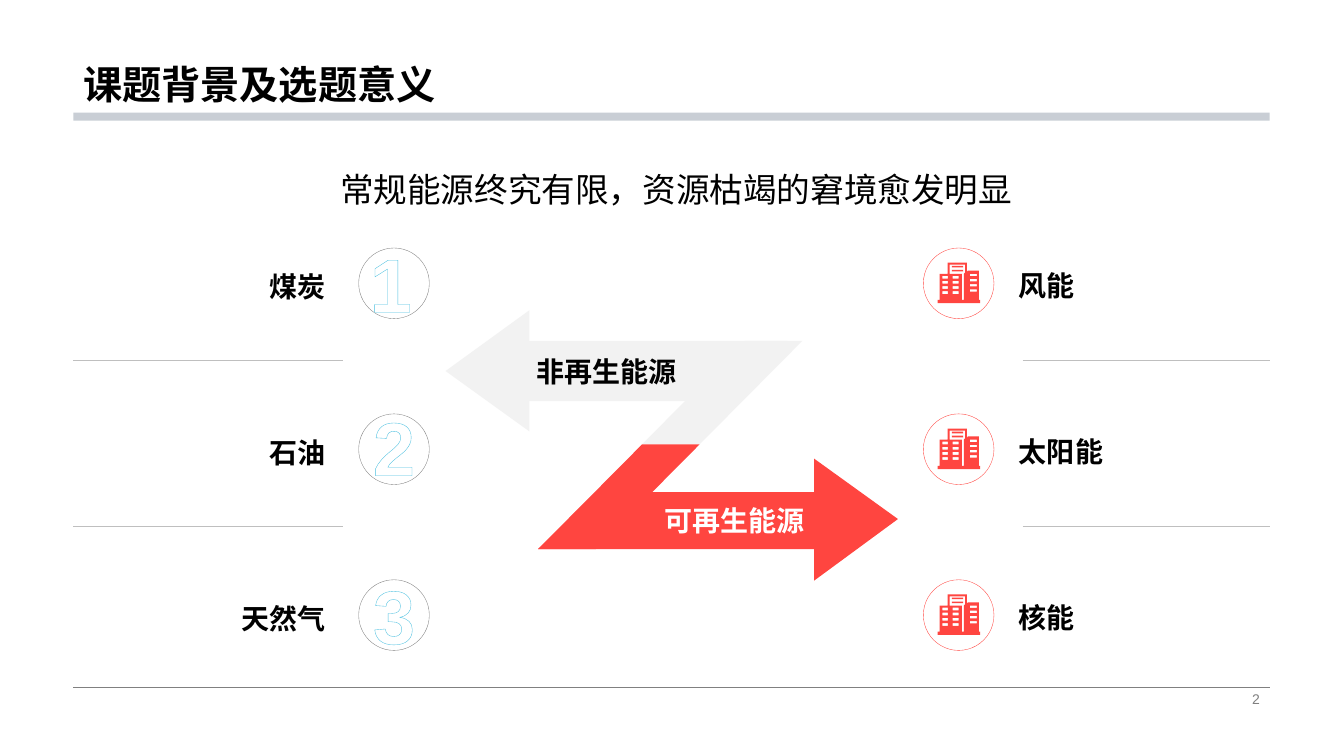
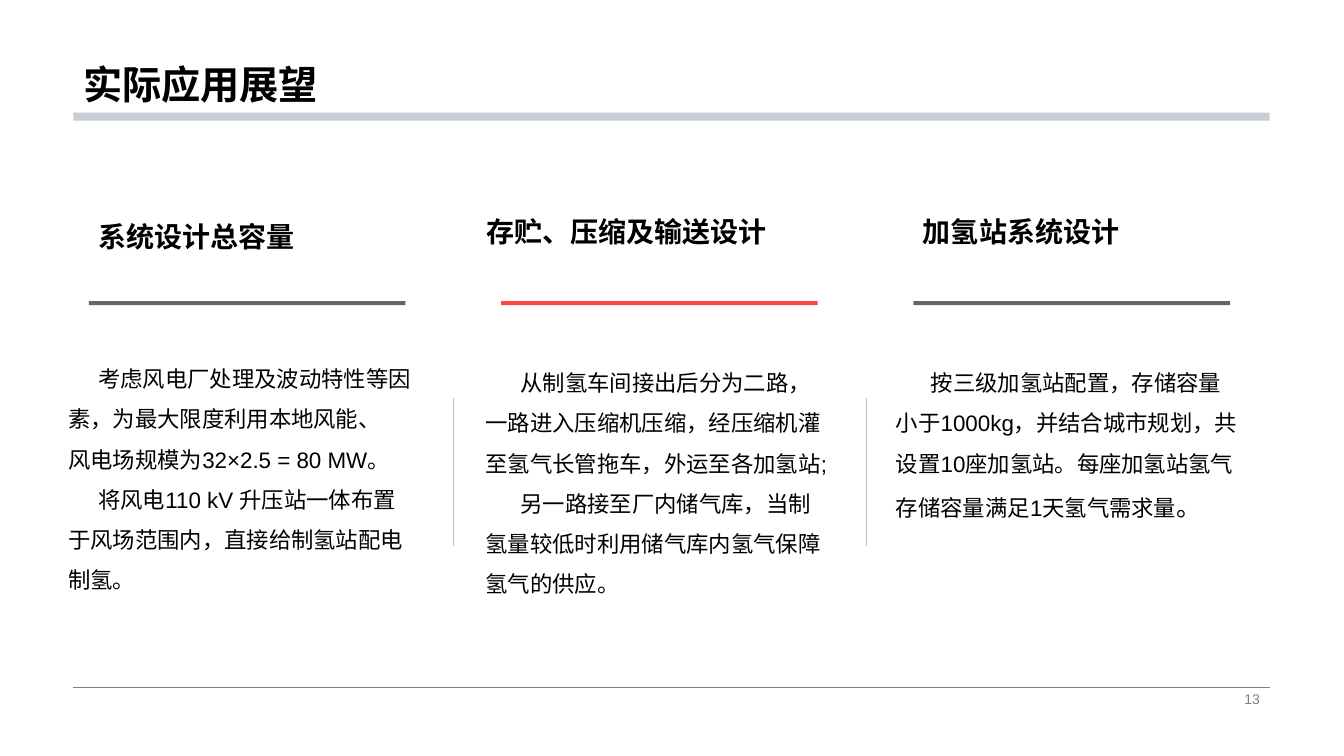
from dataclasses import dataclass

from lxml.etree import SubElement
from pptx import Presentation
from pptx.dml.color import RGBColor
from pptx.enum.lang import MSO_LANGUAGE_ID
from pptx.enum.shapes import MSO_CONNECTOR, MSO_SHAPE
from pptx.enum.text import MSO_ANCHOR, PP_ALIGN
from pptx.oxml.ns import qn
from pptx.util import Cm, Pt


@dataclass(frozen=True)
class Theme:
    font: str = "Arial"
    stop_font: str = "Times New Roman"
    black: str = "000000"
    white: str = "FFFFFF"
    red: str = "FF4540"
    band: str = "C9CED5"
    gray: str = "808080"
    rule: str = "666666"
    hairline: str = "BFBFBF"
    arrow: str = "F2F2F2"
    digit: str = "4AC0E0"
    title_size: int = 28
    headline_size: int = 24
    label_size: int = 20
    body_size: int = 16
    stop_size: int = 18
    digit_size: int = 54
    number_size: int = 10


T = Theme()
LABEL = {"size": T.label_size, "bold": True}
LEFT, RIGHT = 1.85, 32.0  # margins, in cm like every length below

# Slide 1: energy sources
HEADLINE = "常规能源终究有限，资源枯竭的窘境愈发明显"
FINITE = [  # label, left and top of its digit
    ("煤炭", 8.81, 5.84),
    ("石油", 8.89, 9.96),
    ("天然气", 8.89, 14.2),
]
RENEWABLE = ["风能", "太阳能", "核能"]
ROW_TOP, ROW_PITCH, CIRCLE = 6.25, 4.18, 1.78
ARROWS = [
    {
        "fill": T.arrow, "label": "非再生能源", "color": T.black, "align": PP_ALIGN.LEFT,
        "fold": [(20.22, 8.59), (18.77, 8.59), (16.18, 11.2), (17.63, 11.2)],
        "shaft": [(18.36, 10.11), (13.26, 10.11), (13.26, 8.59), (19.84, 8.59)],
        "head": [(13.34, 10.87), (11.23, 9.35), (13.34, 7.82)],
    },
    {
        "fill": T.red, "label": "可再生能源", "color": T.white, "align": PP_ALIGN.RIGHT,
        "fold": [(13.56, 13.84), (15.01, 13.84), (17.63, 11.2), (16.18, 11.2)],
        "shaft": [(15.01, 12.4), (20.52, 12.4), (20.52, 13.84), (13.56, 13.84)],
        "head": [(20.52, 11.56), (22.63, 13.08), (20.52, 14.63)],
    },
]

# Building icon, measured from its top left corner
WALLS = [(0.25, 0), (0.74, 0), (0.74, 0.23), (0.76, 0.2), (1.04, 0.2), (1.04, 0.94),
         (1.07, 0.94), (1.07, 1.02), (0, 1.02), (0, 0.94), (0.05, 0.94), (0.05, 0.28),
         (0.25, 0.28)]
TOWER = [(0.3, 0.05), (0.3, 0.28), (0.61, 0.28), (0.61, 0.94), (0.66, 0.94), (0.66, 0.28),
         (0.69, 0.25), (0.69, 0.05)]
SLATS = [(0.36, 0.08, 0.28, 0.04), (0.36, 0.18, 0.28, 0.04)]
WINDOW_COLUMNS = [(0.12, 0.33, 0.14, 0.07), (0.38, 0.33, 0.15, 0.07), (0.81, 0.28, 0.18, 0.06)]
WINDOW_PITCH, FLOORS = 0.13, 4

# Slide 2: outlook
COLUMNS = [
    {"heading": "系统设计总容量", "heading_at": (2.24, 5.41), "body_at": (1.47, 8.74),
     "rule": T.rule, "indent": 0.76,
     "body": [("考虑风电厂处理及波动特性等因素，为最大限度利用本地风能、", True),
              ("风电场规模为32×2.5 = 80 MW。", False),
              ("将风电110 kV 升压站一体布置于风场范围内，直接给制氢站配电制氢。", True)]},
    {"heading": "存贮、压缩及输送设计", "heading_at": (12.01, 5.28), "body_at": (11.99, 8.84),
     "rule": T.red, "indent": 0.88,
     "body": [("从制氢车间接出后分为二路，一路进入压缩机压缩，经压缩机灌至氢气长管拖车，外运至各加氢站;", True),
              ("另一路接至厂内储气库，当制氢量较低时利用储气库内氢气保障氢气的供应。", True)]},
    {"heading": "加氢站系统设计", "heading_at": (23.01, 5.28), "body_at": (22.33, 8.84),
     "rule": T.rule, "indent": 0.88,
     "body": [("按三级加氢站配置，存储容量小于1000kg，并结合城市规划，共设置10座加氢站。"
               "每座加氢站氢气存储容量满足1天氢气需求量", True)],
     "stop": "。"},
]
COLUMN_LEFT, COLUMN_PITCH = 2.24, 10.39


def add_run(p, text, size, color=T.black, bold=False, font=T.font):
    r = p.add_run()
    r.text = text
    look = {"size": Pt(size), "bold": bold, "name": font,
            "language_id": MSO_LANGUAGE_ID.SIMPLIFIED_CHINESE}
    for name, value in look.items():
        setattr(r.font, name, value)
    r.font.color.rgb = RGBColor.from_string(color)
    return r


def add_box(s, x, y, w, h, anchor=MSO_ANCHOR.TOP):
    tf = s.shapes.add_textbox(Cm(x), Cm(y), Cm(w), Cm(h)).text_frame
    tf.word_wrap = True
    tf.vertical_anchor = anchor
    return tf


def add_text(s, text, x, y, w, h, anchor=MSO_ANCHOR.TOP, align=PP_ALIGN.LEFT, **look):
    p = add_box(s, x, y, w, h, anchor).paragraphs[0]
    p.alignment = align
    add_run(p, text, **look)
    return p


def paint(sp, fill, line=None):
    sp.shadow.inherit = False
    sp.fill.solid()
    sp.fill.fore_color.rgb = RGBColor.from_string(fill)
    if line:
        sp.line.color.rgb = RGBColor.from_string(line)
        sp.line.width = Pt(0.25)
    else:
        sp.line.fill.background()


def add_preset(s, kind, x, y, w, h, fill, line=None):
    paint(s.shapes.add_shape(kind, Cm(x), Cm(y), Cm(w), Cm(h)), fill, line)


def add_line(s, x1, y1, x2, y2, color=T.hairline, width=0.25):
    ln = s.shapes.add_connector(MSO_CONNECTOR.STRAIGHT, Cm(x1), Cm(y1), Cm(x2), Cm(y2))
    ln.line.color.rgb = RGBColor.from_string(color)
    ln.line.width = Pt(width)
    SubElement(ln._element.spPr, qn("a:effectLst"))


def add_outline(s, contours, fill, x=0, y=0):
    """Draw closed contours as one shape; a contour inside another is a hole."""
    builder = None
    for contour in contours:
        start, *rest = [(Cm(x + px), Cm(y + py)) for px, py in contour]
        if builder is None:
            builder = s.shapes.build_freeform(*start)
        else:
            builder.move_to(*start)
        builder.add_line_segments(rest, close=True)
    sp = builder.convert_to_shape()
    paint(sp, fill)
    return sp


def rectangle(x, y, w, h):
    return [(x, y), (x, y + h), (x + w, y + h), (x + w, y)]


def add_building(s, x, y):
    windows = [rectangle(wx, wy + floor * WINDOW_PITCH, w, h)
               for wx, wy, w, h in WINDOW_COLUMNS for floor in range(FLOORS)]
    slats = [rectangle(*slat) for slat in SLATS]
    add_outline(s, [WALLS, TOWER, *slats, *windows], T.red, x, y)


def add_arrow(s, arrow):
    for part in ("fold", "shaft", "head"):
        sp = add_outline(s, [arrow[part]], arrow["fill"])
        if part == "shaft":
            tf = sp.text_frame
            tf.vertical_anchor = MSO_ANCHOR.MIDDLE
            tf.paragraphs[0].alignment = arrow["align"]
            add_run(tf.paragraphs[0], arrow["label"], color=arrow["color"], **LABEL)


def add_digit(s, digit, x, y):
    p = add_text(s, digit, x, y, 2.08, 2.57, align=PP_ALIGN.CENTER,
                 size=T.digit_size, color=T.white, bold=True)
    rPr = p.runs[0].font._element
    ln = rPr.makeelement(qn("a:ln"), {"w": str(Pt(0.8))})
    SubElement(SubElement(ln, qn("a:solidFill")), qn("a:srgbClr"), val=T.digit)
    rPr.insert(0, ln)


def add_framed_slide(prs, title, number):
    """Add a slide with the title, band, footer line and page number."""
    s = prs.slides.add_slide(prs.slide_layouts[6])
    width = RIGHT - LEFT
    add_line(s, LEFT, 17.32, RIGHT, 17.32, T.gray, 0.5)
    add_preset(s, MSO_SHAPE.RECTANGLE, LEFT, 2.84, width, 0.2, T.band)
    p = add_text(s, title, LEFT, 0, width, 2.84, MSO_ANCHOR.BOTTOM, size=T.title_size, bold=True)
    p.line_spacing = 0.9
    add_text(s, number, RIGHT - 8.08, 17.32, 8.08, 0.58, MSO_ANCHOR.MIDDLE, PP_ALIGN.RIGHT,
             size=T.number_size, color=T.gray)
    return s


def build_background(prs):
    s = add_framed_slide(prs, "课题背景及选题意义", "2")
    add_text(s, HEADLINE, 1.98, 3.94, 30.12, 1.63, MSO_ANCHOR.MIDDLE, PP_ALIGN.CENTER,
             size=T.headline_size)
    for arrow in ARROWS:
        add_arrow(s, arrow)
    for i, ((finite, digit_x, digit_y), renewable) in enumerate(zip(FINITE, RENEWABLE)):
        y = ROW_TOP + i * ROW_PITCH
        add_preset(s, MSO_SHAPE.OVAL, 9.04, y, CIRCLE, CIRCLE, T.white, T.gray)
        add_digit(s, str(i + 1), digit_x, digit_y)
        add_text(s, finite, 1.88, y + 0.3, 6.58, 1.22, MSO_ANCHOR.BOTTOM, PP_ALIGN.RIGHT, **LABEL)
        add_preset(s, MSO_SHAPE.OVAL, 23.27, y, CIRCLE, CIRCLE, T.white, T.red)
        add_building(s, 23.63, y + 0.37)
        add_text(s, renewable, 25.43, y + 0.27, 6.58, 1.22, MSO_ANCHOR.BOTTOM, **LABEL)
        if i:
            divider = y - 1.35
            add_line(s, LEFT, divider, 8.64, divider)
            add_line(s, 25.78, divider, RIGHT, divider)


def build_outlook(prs):
    s = add_framed_slide(prs, "实际应用展望", "13")
    for i, column in enumerate(COLUMNS):
        x = COLUMN_LEFT + i * COLUMN_PITCH
        add_text(s, column["heading"], *column["heading_at"], 7.98, 1.12, **LABEL)
        add_preset(s, MSO_SHAPE.RECTANGLE, x, 7.59, 7.98, 0.1, column["rule"])
        if i:
            add_line(s, x - 1.2, 10.03, x - 1.2, 13.77)
        tf = add_box(s, *column["body_at"], 9.25, 6.3)
        for n, (text, indented) in enumerate(column["body"]):
            p = tf.add_paragraph() if n else tf.paragraphs[0]
            p.line_spacing = 1.5
            if indented:
                p._p.get_or_add_pPr().set("indent", str(Cm(column["indent"])))
            add_run(p, text, T.body_size)
        if "stop" in column:
            add_run(p, column["stop"], T.stop_size, font=T.stop_font)


def main():
    prs = Presentation()
    prs.slide_width, prs.slide_height = Cm(33.87), Cm(19.05)
    build_background(prs)
    build_outlook(prs)
    prs.save("out.pptx")


if __name__ == "__main__":
    main()
